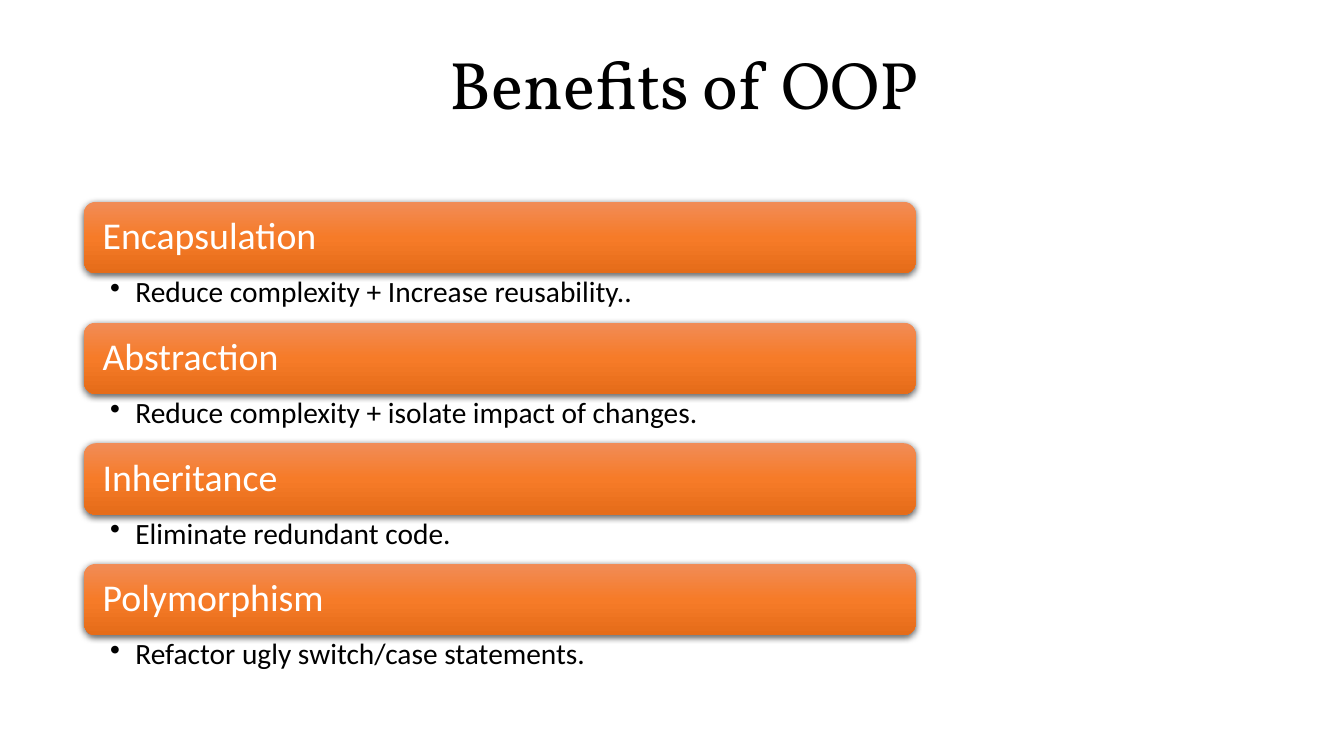
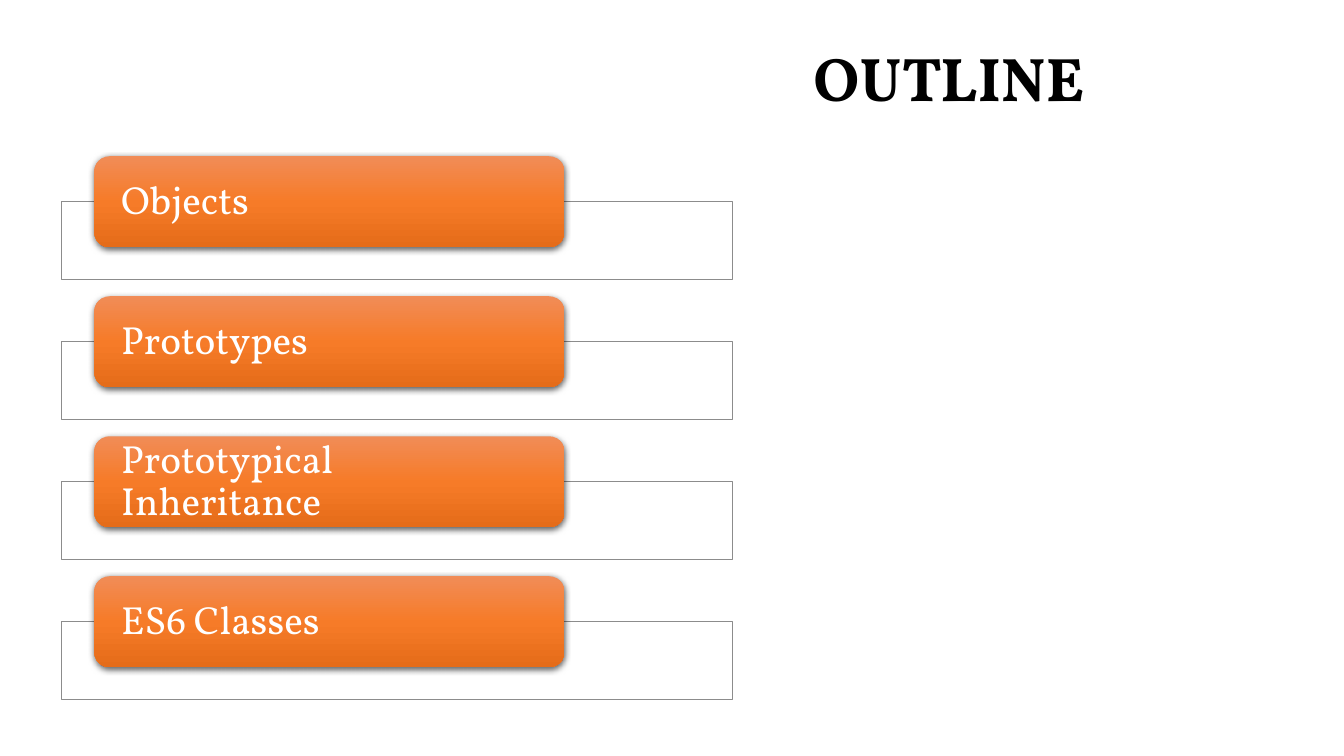
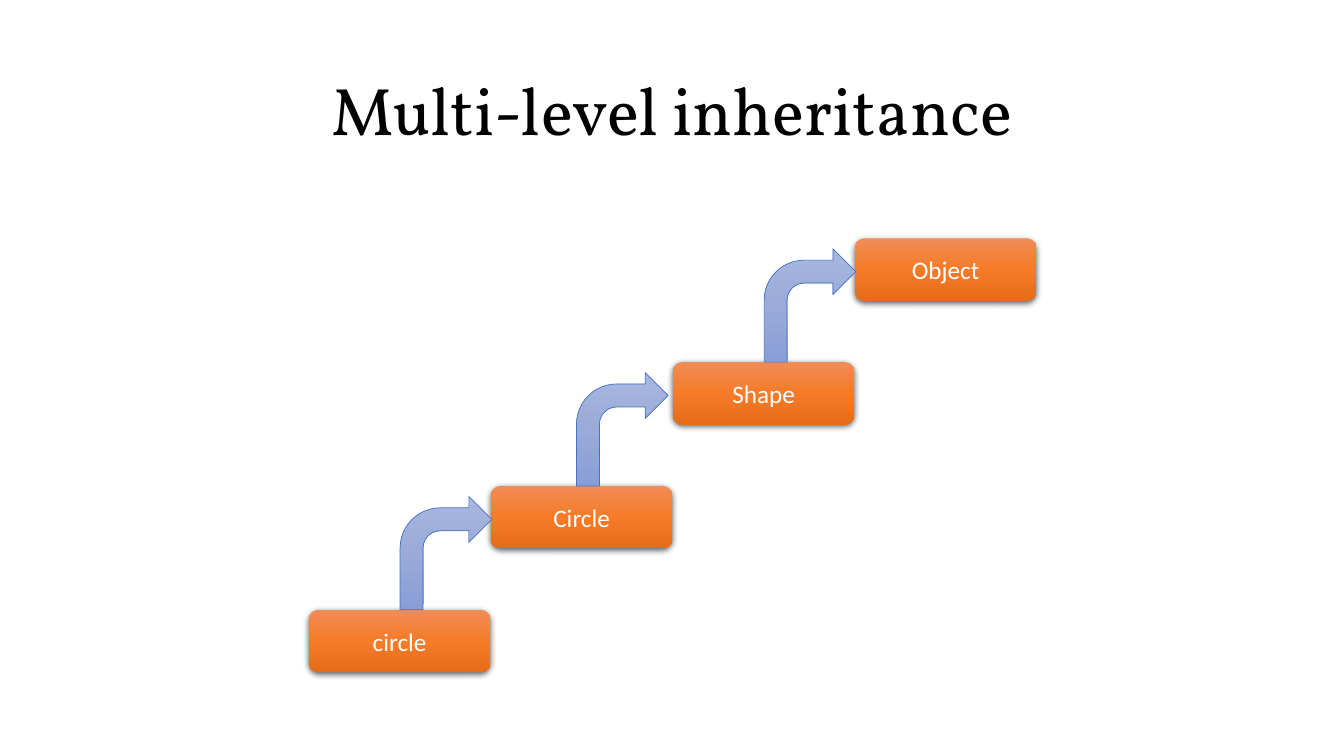
from pptx import Presentation
from pptx.dml.color import RGBColor
from pptx.enum.shapes import MSO_SHAPE as Kind
from pptx.enum.text import MSO_ANCHOR as Anchor, PP_ALIGN as Align
from pptx.oxml import parse_xml
from pptx.oxml.ns import nsdecls, qn
from pptx.util import Pt

BLACK = RGBColor(0x00, 0x00, 0x00)
WHITE = RGBColor(0xFF, 0xFF, 0xFF)
GREY = RGBColor(0x8C, 0x8C, 0x8C)
BLUE = RGBColor(0x44, 0x72, 0xC4)
WARM = [RGBColor(0xF1, 0x8C, 0x57), RGBColor(0xF6, 0x7B, 0x28),
        RGBColor(0xE5, 0x6C, 0x19)]
COOL = [RGBColor(0xA8, 0xB7, 0xDF), RGBColor(0x9A, 0xAB, 0xD9),
        RGBColor(0x88, 0x9E, 0xD7)]
SERIF, SANS = "Vollkorn", "Calibri"


# Shared parts
def write(shape, text, size, face, color, bold=False, align=Align.LEFT,
          anchor=Anchor.MIDDLE, pad=(7.2, 3.6, 7.2, 3.6), space=0.9,
          dot=False):
    frame = shape.text_frame
    frame.word_wrap = True
    frame.vertical_anchor = anchor
    (frame.margin_left, frame.margin_top,
     frame.margin_right, frame.margin_bottom) = map(Pt, pad)
    para = frame.paragraphs[0]
    para.alignment = align
    para.line_spacing = space
    if dot:
        props = para._p.get_or_add_pPr()
        props.set("marL", str(Pt(18)))
        props.set("indent", str(Pt(-18)))
        props.append(parse_xml(f'<a:buChar {nsdecls("a")} char="•"/>'))
    run = para.add_run()
    run.text = text
    font = run.font
    font.name, font.size, font.bold = face, Pt(size), bold
    font.color.rgb = color


def add_text(slide, box, text, size, face, color, **style):
    shape = slide.shapes.add_textbox(*map(Pt, box))
    write(shape, text, size, face, color, **style)


def add_title(slide, box, text, size=48, **style):
    add_text(slide, box, text, size, SERIF, BLACK, **style)


def add_form(slide, kind, box):
    shape = slide.shapes.add_shape(kind, *map(Pt, box))
    shape.shadow.inherit = False
    return shape


def shade(shape, colors):
    """Fill from top to bottom with evenly spaced colours."""
    last = len(colors) - 1
    stops = "".join(
        f'<a:gs pos="{100000 * i // last}"><a:srgbClr val="{c}"/></a:gs>'
        for i, c in enumerate(colors))
    fill = parse_xml(
        f'<a:gradFill {nsdecls("a")} rotWithShape="1"><a:gsLst>{stops}'
        '</a:gsLst><a:lin ang="5400000" scaled="0"/></a:gradFill>')
    shape._element.spPr.find(qn("a:prstGeom")).addnext(fill)


def add_bar(slide, box):
    bar = add_form(slide, Kind.ROUNDED_RECTANGLE, box)
    shade(bar, WARM)
    bar.line.fill.background()
    bar._element.spPr.find(qn("a:effectLst")).append(parse_xml(
        f'<a:outerShdw {nsdecls("a")} blurRad="{Pt(4.5)}" dist="{Pt(1.5)}" '
        'dir="5400000" algn="ctr" rotWithShape="0"><a:srgbClr val="000000">'
        '<a:alpha val="63000"/></a:srgbClr></a:outerShdw>'))
    return bar


# Bars with a bullet below each
def add_gains(slide, box, rows):
    left, top, width, height = box
    step = height / len(rows)
    for i, (head, note) in enumerate(rows):
        y = top + i * step
        bar = add_bar(slide, (left, y, width, 51))
        write(bar, head, 27, SANS, WHITE, pad=(10.8, 7.2, 10.8, 7.2))
        add_text(slide, (left, y + 51, width, step - 51), note, 21, SANS,
                 BLACK, anchor=Anchor.TOP, pad=(18.7, 2.9, 15, 2.9), dot=True)


# Frames with a bar over the top edge
def add_topics(slide, box, topics):
    left, top, width, height = box
    step = height / len(topics)
    for i, topic in enumerate(topics):
        y = top + i * step
        frame = add_form(slide, Kind.RECTANGLE,
                         (left, y + 32.4, width, 55.6))
        frame.fill.solid()
        frame.fill.fore_color.rgb = WHITE
        frame.line.color.rgb = GREY
        frame.line.width = Pt(0.5)
        bar = add_bar(slide, (left + width * 0.05, y, width * 0.7, 65))
        write(bar, topic, 28, SERIF, WHITE, pad=(16, 0, 16, 0))


# Stairs of boxes joined by bent arrows
def add_stairs(slide, box, names, shifts):
    left, top, width, height = box
    wide, high = width / len(names), 44.6
    rise = (height - high) / (len(names) - 1)
    spots = [(left + i * wide, top + height - high - i * rise)
             for i in range(len(names))]
    for name, (x, y) in zip(names, spots):
        bar = add_bar(slide, (x, y, wide, high))
        write(bar, name, 18, SANS, WHITE, align=Align.CENTER, space=1.0)
    for shift, (x, y) in zip(shifts, spots):
        arrow = add_form(slide, Kind.BENT_ARROW,
                         (x + shift, y - 81, 65.5, 81))
        shade(arrow, COOL)
        arrow.line.color.rgb = BLUE
        arrow.line.width = Pt(0.5)


def main():
    deck = Presentation()
    deck.slide_width, deck.slide_height = Pt(960), Pt(540)
    first, second, third = (
        deck.slides.add_slide(deck.slide_layouts[6]) for _ in range(3))

    add_title(first, (314, 9.4, 365, 106), "Benefits of OOP")
    add_gains(first, (60, 144.2, 594, 344.8), [
        ("Encapsulation", "Reduce complexity + Increase reusability.."),
        ("Abstraction", "Reduce complexity + isolate impact of changes."),
        ("Inheritance", "Eliminate redundant code."),
        ("Polymorphism", "Refactor ugly switch/case statements.")])

    add_title(second, (574, 5.8, 386, 105), "OUTLINE", size=44, bold=True)
    add_topics(second, (43.5, 111.6, 479.5, 400), [
        "Objects", "Prototypes", "Prototypical Inheritance", "ES6 Classes"])

    add_title(third, (66, 28.8, 828, 104.4), "Multi-level inheritance",
              align=Align.CENTER)
    add_stairs(third, (220.5, 170.2, 520, 310),
               ["circle", "Circle", "Shape", "Object"], [65.3, 61.3, 65.3])

    deck.save("out.pptx")


if __name__ == "__main__":
    main()
